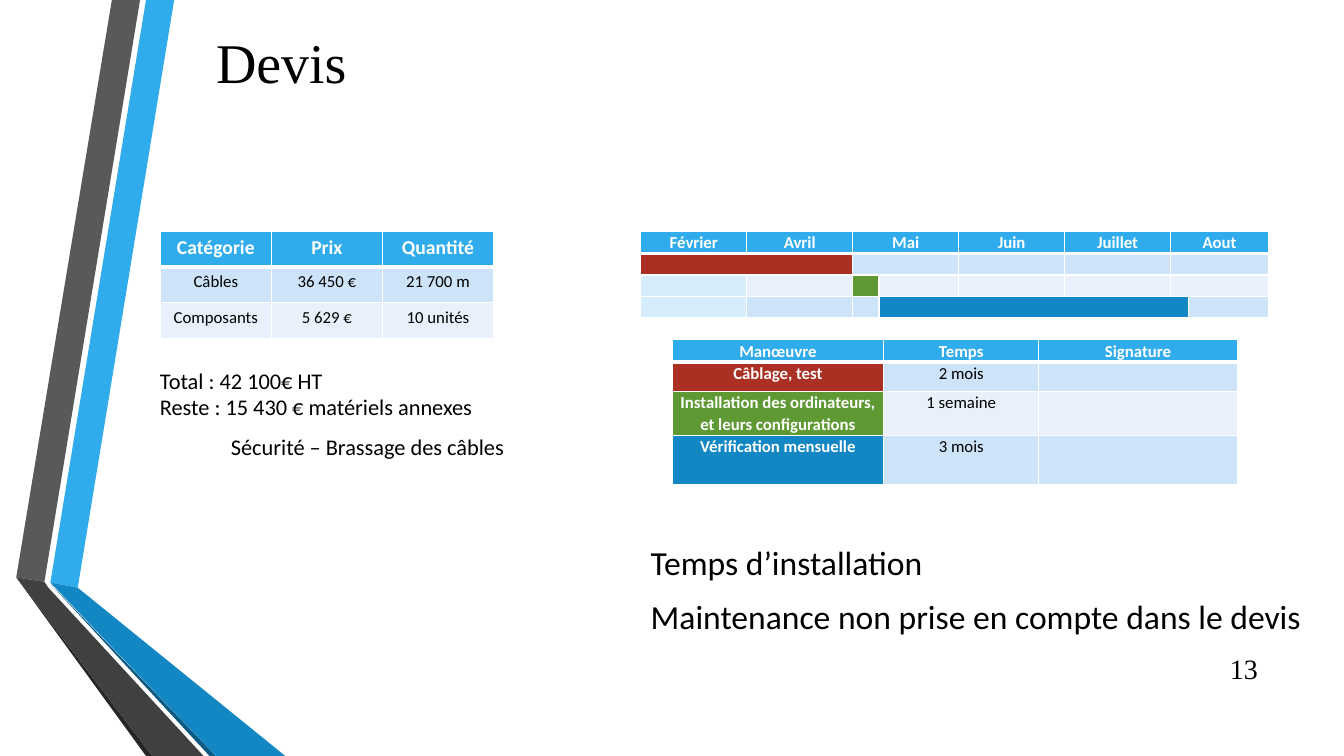
from lxml import etree
from pptx import Presentation
from pptx.dml.color import RGBColor
from pptx.enum import text as t
from pptx.oxml.ns import qn
from pptx.util import Cm, Pt

BLACK = RGBColor(0x00, 0x00, 0x00)
WHITE = RGBColor(0xFF, 0xFF, 0xFF)
SKY = RGBColor(0x30, 0xAC, 0xEC)
BLUE = RGBColor(0x12, 0x87, 0xC3)
NAVY = RGBColor(0x0C, 0x5A, 0x82)
GREY = RGBColor(0x59, 0x59, 0x59)
DARK_GREY = RGBColor(0x40, 0x40, 0x40)
SHADOW_GREY = RGBColor(0x26, 0x26, 0x26)
RED = RGBColor(0xA9, 0x30, 0x23)
GREEN = RGBColor(0x5F, 0x99, 0x34)
BAND = RGBColor(0xCD, 0xE3, 0xF8)
LIGHT_BAND = RGBColor(0xE8, 0xF1, 0xFB)
PALE = RGBColor(0xD6, 0xEE, 0xFB)
STRONG_FILLS = (SKY, RED, GREEN, BLUE)

SERIF, SANS = "Times New Roman", "Calibri"
CENTER, RIGHT = t.PP_ALIGN.CENTER, t.PP_ALIGN.RIGHT
TOP, MIDDLE = t.MSO_ANCHOR.TOP, t.MSO_ANCHOR.MIDDLE

# Ribbon pieces from back to front, points in centimetres
RIBBONS = [
    (SKY, [(1.27, 14.68), (1.96, 14.81), (4.39, 0), (3.68, 0)]),
    (GREY, [(3.53, 0), (2.82, 0), (0.41, 14.55), (1.12, 14.66)]),
    (SHADOW_GREY, [(0.41, 14.55), (3.68, 19.05), (3.84, 19.05)]),
    (NAVY, [(1.27, 14.71), (5.28, 19.05), (5.44, 19.05)]),
    (BLUE, [(1.27, 14.68), (5.44, 19.05), (7.19, 19.05), (1.96, 14.81)]),
    (DARK_GREY, [(5.13, 19.05), (1.22, 14.81), (1.12, 14.66), (0.41, 14.55),
                 (3.84, 19.05)]),
]

# Table rows: (text, fill, number of columns covered)
PRICES = [
    [(name, SKY, 1) for name in ("Catégorie", "Prix", "Quantité")],
    [(value, BAND, 1) for value in ("Câbles", "36 450 €", "21 700 m")],
    [(value, LIGHT_BAND, 1) for value in ("Composants", "5 629 €", "10 unités")],
]
SCHEDULE = [
    [("Février", SKY, 1), ("Avril", SKY, 1), ("Mai", SKY, 2),
     ("Juin", SKY, 1), ("Juillet", SKY, 1), ("Aout", SKY, 2)],
    [("", RED, 2), ("", BAND, 2), ("", BAND, 1), ("", BAND, 1), ("", BAND, 2)],
    [("", PALE, 1), ("", LIGHT_BAND, 1), ("", GREEN, 1), ("", LIGHT_BAND, 1),
     ("", LIGHT_BAND, 1), ("", LIGHT_BAND, 1), ("", LIGHT_BAND, 2)],
    [("", PALE, 1), ("", BAND, 1), ("", BAND, 1), ("", BLUE, 4), ("", BAND, 1)],
]
TASKS = [
    [(name, SKY, 1) for name in ("Manœuvre", "Temps", "Signature")],
    [("Câblage, test", RED, 1), ("2 mois", BAND, 1), ("", BAND, 1)],
    [("Installation des ordinateurs, et leurs configurations", GREEN, 1),
     ("1 semaine", LIGHT_BAND, 1), ("", LIGHT_BAND, 1)],
    [("Vérification mensuelle", BLUE, 1), ("3 mois", BAND, 1), ("", BAND, 1)],
]


def write(para, text, size=12, font=SANS, color=BLACK, bold=False, align=None,
          spacing=None, after=0, indent=0):
    """Fill a paragraph with text in one format."""
    para.text = text
    para.alignment = align
    para.line_spacing = spacing
    para.space_after = Pt(after)
    if indent:
        para._p.get_or_add_pPr().set("marL", str(Cm(indent)))
    for span in para.runs:
        span.font.size = Pt(size)
        span.font.name = font
        span.font.color.rgb = color
        span.font.bold = bold
    if not text:
        etree.SubElement(para._p, qn("a:endParaRPr"), sz=str(size * 100))


def add_text(page, left, top, width, height, lines, anchor=MIDDLE, inset=0.13,
             **style):
    """Add a text box; each line is (text, own format)."""
    box = page.shapes.add_textbox(Cm(left), Cm(top), Cm(width), Cm(height))
    frame = box.text_frame
    frame.word_wrap = True
    frame.vertical_anchor = anchor
    frame.margin_top = Cm(inset)
    for index, (text, own) in enumerate(lines):
        para = frame.add_paragraph() if index else frame.paragraphs[0]
        write(para, text, **{**style, **own})


def add_ribbon(page, color, points):
    corners = [(Cm(x), Cm(y)) for x, y in points]
    builder = page.shapes.build_freeform(*corners[0])
    builder.add_line_segments(corners[1:], close=True)
    ribbon = builder.convert_to_shape()
    ribbon.shadow.inherit = False
    ribbon.fill.solid()
    ribbon.fill.fore_color.rgb = color
    ribbon.line.fill.background()


def set_borders(cell, row):
    """White grid, with a thicker rule under the header row."""
    properties = cell._tc.get_or_add_tcPr()
    widths = {"L": 1, "R": 1, "T": 3 if row == 1 else 1,
              "B": 3 if row == 0 else 1}
    for index, (side, width) in enumerate(widths.items()):
        line = etree.Element(qn(f"a:ln{side}"), w=str(Pt(width)))
        fill = etree.SubElement(line, qn("a:solidFill"))
        etree.SubElement(fill, qn("a:srgbClr"), val=str(WHITE))
        properties.insert(index, line)


def add_grid(page, left, top, widths, heights, rows, head_size=12,
             spacing=1.07, margin_x=0.18, margin_y=0):
    frame = page.shapes.add_table(len(heights), len(widths), Cm(left), Cm(top),
                                  Cm(sum(widths)), Cm(sum(heights)))
    table = frame.table
    table.horz_banding = False
    for column, width in zip(table.columns, widths):
        column.width = Cm(width)
    for line, height in zip(table.rows, heights):
        line.height = Cm(height)
    for row, entries in enumerate(rows):
        column = 0
        for text, fill, covered in entries:
            for place in range(column, column + covered):
                cell = table.cell(row, place)
                cell.margin_left = cell.margin_right = Cm(margin_x)
                cell.margin_top = cell.margin_bottom = Cm(margin_y)
                cell.fill.solid()
                cell.fill.fore_color.rgb = fill
                set_borders(cell, row)
            first = table.cell(row, column)
            if covered > 1:
                first.merge(table.cell(row, column + covered - 1))
            strong = fill in STRONG_FILLS
            write(first.text_frame.paragraphs[0], text, align=CENTER,
                  size=(head_size if row == 0 else 12) if text else 10,
                  color=WHITE if strong else BLACK, bold=strong, spacing=spacing)
            column += covered


def main():
    deck = Presentation()
    deck.slide_width, deck.slide_height = Cm(33.87), Cm(19.05)
    page = deck.slides.add_slide(deck.slide_layouts[6])

    # Side ribbons
    for color, points in RIBBONS:
        add_ribbon(page, color, points)

    # Title, installation notes and page number
    add_text(page, -6.83, -0.89, 27.84, 4.88, [("Devis", {})],
             size=40, font=SERIF, align=CENTER)
    add_text(page, 16.15, 12.67, 28.52, 5.51,
             [("Temps d’installation", {}),
              ("Maintenance non prise en compte dans le devis", {})],
             anchor=TOP, inset=0.98, size=24, after=10)
    add_text(page, 30.43, 16.33, 1.52, 1.02, [("13", {})],
             size=20, font=SERIF, align=RIGHT)

    # Schedule, tasks and prices
    add_grid(page, 16.15, 5.82, [2.67, 2.67, 0.66, 2.01, 2.67, 2.67, 0.46, 2.01],
             [0.57] + [0.54] * 3, SCHEDULE)
    add_grid(page, 16.94, 8.56, [5.33, 3.91, 5], [0.56, 0.74, 1.11, 1.24], TASKS)
    add_grid(page, 4.04, 5.82, [2.8] * 3, [0.9] * 3, PRICES, head_size=14,
             spacing=1, margin_x=0.25, margin_y=0.13)

    # Totals
    add_text(page, 3.78, 8.99, 28.52, 5.51,
             [("Total : 42 100€ HT\nReste : 15 430 € matériels annexes", {}),
              ("Sécurité – Brassage des câbles", {"indent": 1.79})],
             anchor=TOP, inset=0.25, size=16, after=9)

    deck.save("out.pptx")


if __name__ == "__main__":
    main()
